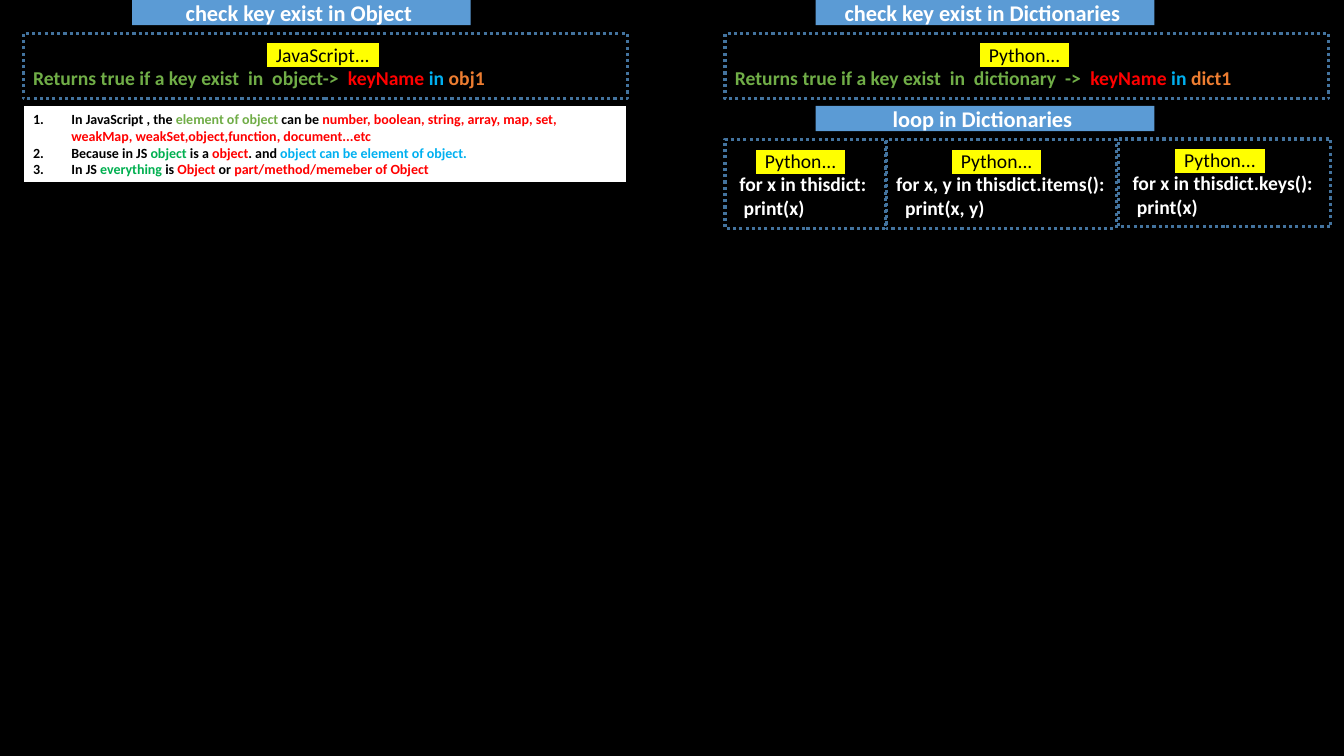
from typing import NamedTuple, Optional

from lxml import etree
from pptx import Presentation
from pptx.dml.color import RGBColor
from pptx.enum import dml, shapes, text
from pptx.oxml import ns
from pptx.util import Inches, Pt

COLOURS = {
    "black": "000000", "white": "FFFFFF", "blue": "5B9BD5", "border": "43739E",
    "yellow": "FFFF00", "olive": "70AD47", "red": "FF0000", "sky": "00B0F0",
    "orange": "ED7D31", "green": "00B050",
}
LEFT_COLUMN, RIGHT_COLUMN, COLUMN_WIDTH = 0.23, 7.19, 5.99
HEADING_WIDTH, HEADING_HEIGHT = 3.36, 0.25
SYNTAX_TOP, SECOND_ROW, LOOP_TOP = 0.33, 1.05, 1.38


class Piece(NamedTuple):
    words: str
    colour: str
    bold: bool = True
    highlight: Optional[str] = None


class Line(NamedTuple):
    pieces: list[Piece]
    centred: bool = False
    numbered: bool = False


class Panel(NamedTuple):
    left: float
    top: float
    width: float
    height: float
    lines: list[Line]
    size: int = 14
    fill: Optional[str] = None
    border: Optional[str] = None
    border_width: float = 2.25
    dotted: bool = False


def rgb(colour: str) -> RGBColor:
    return RGBColor.from_string(COLOURS[colour])


def language_tag(language: str, tail: str = " ") -> Line:
    """Highlighted language name above a snippet."""
    return Line([Piece(f"  {language}...  ", "black", False, "yellow"),
                 Piece(tail, "blue")], centred=True)


def heading(left: float, top: float, words: str) -> Panel:
    return Panel(left, top, HEADING_WIDTH, HEADING_HEIGHT,
                 [Line([Piece(words, "white")], centred=True)], 16, "blue")


def syntax(left: float, language: str, container: str, variable: str) -> Panel:
    """Dotted box that explains the membership test."""
    rule = Line([Piece(f"Returns true if a key exist  in  {container}->  ", "olive"),
                 Piece("keyName ", "red"), Piece("in ", "sky"),
                 Piece(variable, "orange")])
    return Panel(left, SYNTAX_TOP, COLUMN_WIDTH, 0.65,
                 [language_tag(language), rule], border="border", dotted=True)


def loop(left: float, width: float, height: float, code: list[str]) -> Panel:
    """Dotted box with one way of looping."""
    lines = [Line([Piece(row, "white")]) for row in code]
    return Panel(left, LOOP_TOP, width, height,
                 [language_tag("Python", "  "), *lines], border="border", dotted=True)


def add_line(paragraph, line: Line, size: int) -> None:
    paragraph.alignment = text.PP_ALIGN.CENTER if line.centred else text.PP_ALIGN.LEFT
    if line.numbered:
        properties = paragraph._p.get_or_add_pPr()
        properties.set("marL", str(Inches(0.38)))
        properties.set("indent", str(Inches(-0.38)))
        etree.SubElement(properties, ns.qn("a:buFont"), typeface="+mj-lt")
        etree.SubElement(properties, ns.qn("a:buAutoNum"), type="arabicPeriod")
    for piece in line.pieces:
        run = paragraph.add_run()
        run.text = piece.words
        run.font.color.rgb = rgb(piece.colour)
        if piece.highlight:
            mark = etree.SubElement(run._r.get_or_add_rPr(), ns.qn("a:highlight"))
            etree.SubElement(mark, ns.qn("a:srgbClr"), val=COLOURS[piece.highlight])
        formats = {"name": "Calibri", "size": Pt(size), "bold": piece.bold}
        for attribute, value in formats.items():
            setattr(run.font, attribute, value)


def add_panel(slide, panel: Panel) -> None:
    box = slide.shapes.add_shape(
        shapes.MSO_SHAPE.RECTANGLE, Inches(panel.left), Inches(panel.top),
        Inches(panel.width), Inches(panel.height))
    box.shadow.inherit = False
    if panel.fill:
        box.fill.solid()
        box.fill.fore_color.rgb = rgb(panel.fill)
    else:
        box.fill.background()
    if panel.border:
        box.line.color.rgb = rgb(panel.border)
        box.line.width = Pt(panel.border_width)
        if panel.dotted:
            box.line.dash_style = dml.MSO_LINE.ROUND_DOT
    else:
        box.line.fill.background()
    frame = box.text_frame
    frame.word_wrap = True
    frame.vertical_anchor = text.MSO_ANCHOR.MIDDLE
    for index, line in enumerate(panel.lines):
        paragraph = frame.add_paragraph() if index else frame.paragraphs[0]
        add_line(paragraph, line, panel.size)


# Numbered remarks about JavaScript objects
REMARKS = [
    [Piece("In JavaScript , the ", "black"), Piece("element of object ", "olive"),
     Piece("can be ", "black"),
     Piece("number, boolean, string, array, map, set, weakMap, "
           "weakSet,object,function, document...etc", "red")],
    [Piece("Because in JS ", "black"), Piece("object ", "green"),
     Piece("is a ", "black"), Piece("object", "red"), Piece(". and ", "black"),
     Piece("object can be element of object.", "sky")],
    [Piece("In JS ", "black"), Piece("everything ", "green"), Piece("is ", "black"),
     Piece("Object ", "red"), Piece("or ", "black"),
     Piece("part/method/memeber of Object", "red")],
]

PANELS = [
    # Objects, left column
    heading(1.31, 0, "check key exist in Object "),
    syntax(LEFT_COLUMN, "JavaScript", "object", "obj1"),
    Panel(LEFT_COLUMN, SECOND_ROW, COLUMN_WIDTH, 0.76,
          [Line(remark, numbered=True) for remark in REMARKS],
          10, "white", "black", 1),
    # Dictionaries, right column
    heading(8.09, 0, "check key exist in Dictionaries "),
    syntax(RIGHT_COLUMN, "Python", "dictionary  ", "dict1"),
    heading(8.09, SECOND_ROW, "loop in Dictionaries "),
    loop(RIGHT_COLUMN, 1.59, 0.89, [" for x in thisdict:", "  print(x)"]),
    loop(8.79, 2.28, 0.89, ["for x, y in thisdict.items():", "  print(x, y)"]),
    loop(11.09, 2.11, 0.87, [" for x in thisdict.keys():", "  print(x)"]),
]


def main() -> None:
    deck = Presentation()
    deck.slide_width, deck.slide_height = Inches(13.33), Inches(7.5)
    slide = deck.slides.add_slide(deck.slide_layouts[6])
    slide.background.fill.solid()
    slide.background.fill.fore_color.rgb = rgb("black")
    for panel in PANELS:
        add_panel(slide, panel)
    deck.save("out.pptx")


if __name__ == "__main__":
    main()
